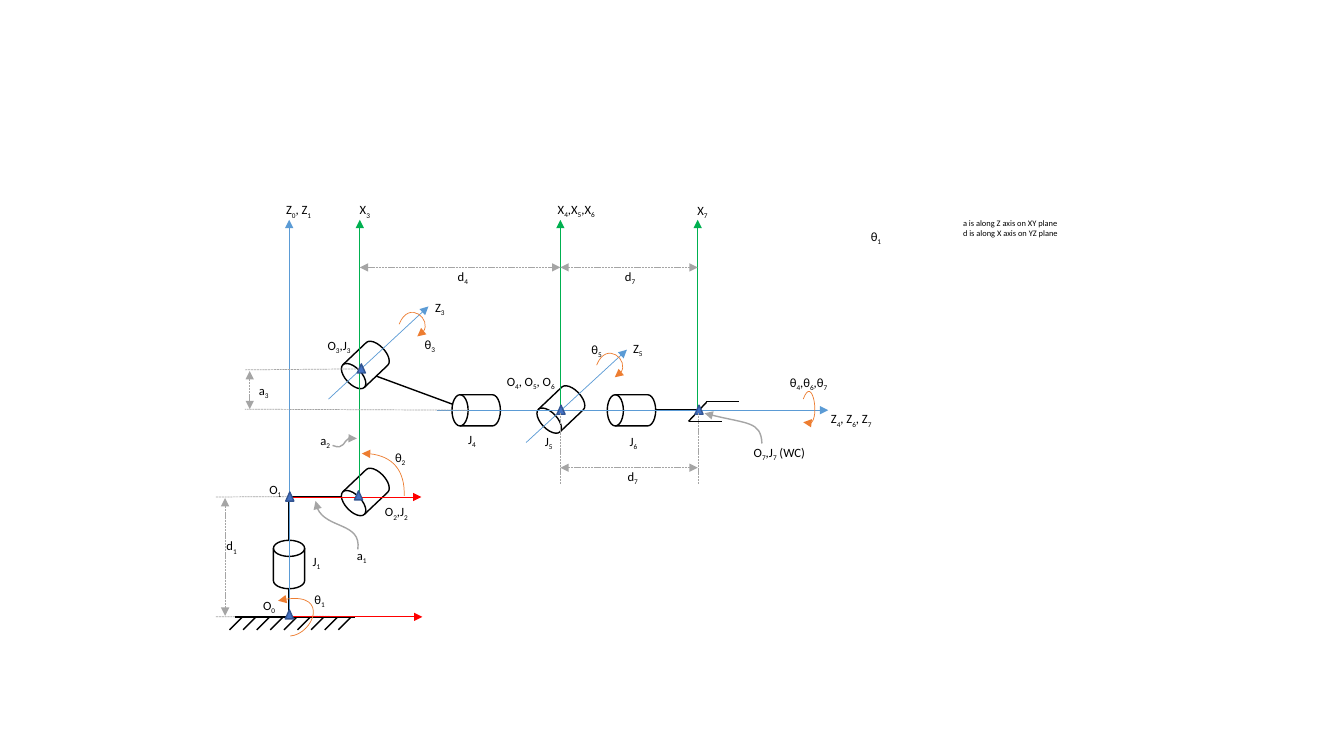
from pptx import Presentation
from pptx.util import Pt
from pptx.dml.color import RGBColor as Rgb
from pptx.enum.dml import MSO_LINE as Dash
from pptx.enum.shapes import MSO_CONNECTOR as Conn, MSO_SHAPE as Kind
from pptx.enum.text import MSO_AUTO_SIZE as Fit, PP_ALIGN as Align
from pptx.oxml.ns import qn
from lxml.etree import SubElement as Sub

COLORS = {
    "black": "000000", "white": "FFFFFF", "gray": "A5A5A5",
    "blue": "5B9BD5", "red": "FF0000", "green": "00B050",
    "orange": "ED7D31", "mark": "4472C4", "edge": "325491",
}
BASE, ARM, WRIST = 440.6, 355, 293      # heights of ground, shoulder, wrist
COL1, COL3, COL5, COL7 = 206.6, 257, 400.3, 498.4


def span(ends):
    """Lowest and highest value of a cubic along one direction."""
    a, b, c, d = ends
    track = []
    for i in range(101):
        t = i / 100
        u = 1 - t
        track.append(a * u**3 + 3 * b * u * u * t + 3 * c * u * t * t + d * t**3)
    return min(track), max(track)


class Sketch:
    font = "Calibri"

    def __init__(self, slide):
        self.shapes = slide.shapes

    def color(self, name):
        return Rgb.from_string(COLORS[name])

    def ink(self, shape, color, width, dash=False, head=False, tail=False):
        """Style the outline, its arrowheads, and drop the shadow."""
        line = shape.line
        line.color.rgb = self.color(color)
        line.width = Pt(width)
        if dash:
            line.dash_style = Dash.SQUARE_DOT
        props = shape._element.spPr
        for used, tag in ((head, "a:headEnd"), (tail, "a:tailEnd")):
            if used:
                Sub(props.find(qn("a:ln")), qn(tag), type="triangle")
        Sub(props, qn("a:effectLst"))

    def line(self, x1, y1, x2, y2, color="black", width=1, **ends):
        link = self.shapes.add_connector(
            Conn.STRAIGHT, Pt(x1), Pt(y1), Pt(x2), Pt(y2))
        self.ink(link, color, width, **ends)

    def axis(self, x1, y1, x2, y2, color):
        self.line(x1, y1, x2, y2, color, 0.5, tail=True)

    def guide(self, x1, y1, x2, y2, ends=False):
        self.line(x1, y1, x2, y2, "gray", 0.5,
                  dash=True, head=ends, tail=ends)

    def bend(self, x1, y1, x2, y2):
        """Draw a link that runs up from the first point, then right."""
        x, y = (x1 + x2) / 2, (y1 + y2) / 2
        w, h = (y1 - y2) / 2, (x2 - x1) / 2
        link = self.shapes.add_connector(
            Conn.ELBOW, Pt(x + w), Pt(y + h), Pt(x - w), Pt(y - h))
        props = link._element.spPr
        props.find(qn("a:xfrm")).set("rot", "5400000")
        props.find(qn("a:prstGeom")).set("prst", "bentConnector2")
        self.ink(link, "black", 1)

    def curve(self, nodes, color, width):
        """Draw one cubic segment that ends in an arrowhead."""
        build = self.shapes.build_freeform(0, 0)
        build.add_line_segments([(1, 1)], close=False)
        shape = build.convert_to_shape()
        (x1, x2), (y1, y2) = (span(side) for side in zip(*nodes))
        shape.left, shape.top = Pt(x1), Pt(y1)
        shape.width, shape.height = Pt(x2 - x1), Pt(y2 - y1)
        track = next(shape._element.iter(qn("a:path")))
        track.set("w", str(shape.width))
        track.set("h", str(shape.height))
        track.remove(track.find(qn("a:lnTo")))
        start = track.find(qn("a:moveTo"))
        start.remove(start[0])
        cubic = Sub(track, qn("a:cubicBezTo"))
        for i, (x, y) in enumerate(nodes):
            Sub(cubic if i else start, qn("a:pt"),
                x=str(Pt(x - x1)), y=str(Pt(y - y1)))
        shape.fill.background()
        self.ink(shape, color, width, tail=True)

    def solid(self, kind, x, y, w, h, fill, edge, turn=0):
        shape = self.shapes.add_shape(kind, Pt(x), Pt(y), Pt(w), Pt(h))
        shape.rotation = turn
        shape.fill.solid()
        shape.fill.fore_color.rgb = self.color(fill)
        self.ink(shape, edge, 1)

    def joint(self, x, y, turn=0):
        self.solid(Kind.FLOWCHART_MAGNETIC_DISK, x, y, 22.3, 34.6,
                   "white", "black", turn)

    def origin(self, x, y):
        self.solid(Kind.FLOWCHART_EXTRACT, x, y, 5.8, 6.5, "mark", "edge")

    def text(self, words, x, y, w=26.6, h=10.9, size=9, align=Align.LEFT,
             pad=True):
        """Write lines of text; the sign after an underscore is lowered."""
        box = self.shapes.add_textbox(Pt(x), Pt(y), Pt(w), Pt(h))
        frame = box.text_frame
        frame.word_wrap = True
        frame.auto_size = Fit.SHAPE_TO_FIT_TEXT
        if not pad:
            frame.margin_left = frame.margin_right = 0
            frame.margin_top = frame.margin_bottom = 0
        for i, row in enumerate(words.split("\n")):
            para = frame.add_paragraph() if i else frame.paragraphs[0]
            para.alignment = align
            start, *parts = row.split("_")
            runs = [(start, False)]
            for part in parts:
                runs += [(part[0], True), (part[1:], False)]
            for piece, low in runs:
                if piece:
                    self.run(para, piece, size, low)

    def run(self, para, piece, size, low):
        run = para.add_run()
        run.text = piece
        run.font.name = self.font
        run.font.size = Pt(size)
        run.font.color.rgb = self.color("black")
        if low:
            run._r.get_or_add_rPr().set("baseline", "-25000")


def links(art):
    for y in (BASE, ARM):
        art.guide(235.4, y - 0.4, 154.1, y)
    art.line(334.8, 293.2, 393.1, 293.2)
    art.bend(206.4, 397.4, COL3, ARM)
    for ends in (
        (268.6, 268.6, 334.8, WRIST), (445, 292.8, 499.7, 292.8),
        (491.8, 301, 504.7, 287.3), (504, 287, 527.6, 287),
        (492.5, 301, 516, 301), (167.8, BASE, 253.4, BASE),
        (206.4, 397.4, 206.4, BASE),
    ):
        art.line(*ends)
    for spot in ((249.8, 334.1, 226.5), (195.3, 385.9), (329, 275.8, 270),
                 (389.5, 275.2, 226.5)):
        art.joint(*spot)
    art.line(409, 293.2, 445, 293.2)
    art.joint(439.9, 275.8, 270)
    for i in range(9):
        x = 251 - 9.72 * i
        art.line(x, BASE, x - 9.3, BASE + 9.3)
    art.line(COL3, 344.2, COL3, 264.2)
    art.joint(249.8, 243.4, 226.5)


def axes(art):
    top = 157
    art.axis(COL1, 441.4, COL1, top, "blue")
    art.axis(208.1, BASE, 301.7, BASE, "red")
    art.axis(COL1, ARM, 301, ARM, "red")
    for x, y in ((COL3, ARM), (COL5, WRIST), (COL7, WRIST)):
        art.axis(x, y, x, top, "green")
    art.axis(234.7, 285.1, 306, 218.9, "blue")
    art.axis(375.8, 316.1, 447.8, 249.8, "blue")
    art.axis(312.5, WRIST, 591.6, WRIST, "blue")
    for spot in ((397.8, 289.4), (255.2, 259.9), (253.2, 350.6),
                 (204.1, 351.4), (203.8, 435.6), (496.4, 289.4)):
        art.origin(*spot)


def curves(art):
    spin = ((285.1, 231.6), (292.3, 213.6), (313.9, 232.4), (298.1, 240.3))
    for nodes in (
        spin, [(x + 141.1, y + 29.2) for x, y in spin],
        ((288.7, 354.2), (289.4, 336.2), (278.6, 323.3), (258.5, 324)),
        ((207.4, 454.3), (223.9, 452.9), (236.9, 419.8), (198.7, 429.1)),
        ((573.8, 285.1), (580.3, 267.1), (588.2, 310.3), (573.8, 301.7)),
    ):
        art.curve(nodes, "orange", 0.5)
    for nodes in (
        ((544.3, 316.8), (543.6, 301), (532.8, 303.1), (503.3, 295.2)),
        ((255.6, 392.4), (258.5, 373), (227.5, 378.7), (225.4, 357.8)),
        ((237.6, 318.2), (246.2, 321.8), (245.5, 309.6), (254.9, 313.2)),
    ):
        art.curve(nodes, "gray", 1)


def sizes(art):
    art.guide(256.3, 263.5, 175, 264.2)
    art.guide(334.8, WRIST, 175, 292.3)
    for x in (COL5, COL7 + 0.5):
        art.guide(x, 295.2, x, 345.6)
    for ends in ((178.4, 292.3, 178.4, 265), (160.8, 439.9, 160.8, 355.7),
                 (COL7, 334.1, COL5, 334.1), (COL5, 191, COL3, 191),
                 (COL7, 191, COL5, 191)):
        art.guide(*ends, ends=True)


def labels(art):
    for words, x, y, *w in (
        ("J_1", 223.4, 395.5), ("O_3,J_3", 234, 241.2), ("J_4", 334.5, 308.2),
        ("J_5", 389.3, 310.1, 26.6, 21.8), ("J_6", 449.8, 310.1),
        ("O_7,J_7 (WC)", 538.4, 317.5, 53.3), ("O_2,J_2", 275, 360.2),
        ("Z_0, Z_1", 204.3, 144.5, 56.9), ("Z_3", 310.8, 214),
        ("Z_5", 452.2, 243.4), ("X_3", 257, 144.5),
        ("X_4,X_5,X_6", 398.4, 144.2, 45.4), ("X_7", 498.2, 144.7),
        ("Z_4, Z_6, Z_7", 593.5, 293.8, 40.3), ("O_0", 187.9, 427),
        ("θ_1", 622, 163.4, 8), ("θ_2", 282.2, 321.1, 18.7),
        ("θ_1", 224.6, 422.6, 18.7), ("θ_3", 303.3, 240.5, 18.7),
        ("a_1", 254.9, 391.2, 53.3), ("a_2", 228.8, 309.4, 53.3),
        ("a_3", 185, 273.6, 53.3), ("d_1", 161.8, 384.5, 53.3),
    ):
        art.text(words, x, y, *w, pad=False)
    for words, x, y, w in (
        ("O_4, O_5, O_6", 356.6, 267.1, 39.6), ("O_1", 174.4, 344.2, 26.6),
        ("θ_5", 411.1, 244.1, 18.7), ("θ_4,θ_6,θ_7", 537.6, 267.8, 53.3),
    ):
        art.text(words, x, y, w, align=Align.RIGHT, pad=False)
    for words, x, y in (("d_7", 425.3, 334.6), ("d_4", 304, 192.2),
                        ("d_7", 423.4, 192.2)):
        art.text(words, x, y, 53.3, align=Align.CENTER, pad=False)
    art.text("a is along Z axis on XY plane\nd is along X axis on YZ plane",
             680.8, 152.3, 131, 21.8, size=6)


def main():
    deck = Presentation()
    deck.slide_width, deck.slide_height = Pt(960), Pt(540)
    art = Sketch(deck.slides.add_slide(deck.slide_layouts[6]))
    for draw in (links, axes, curves, sizes, labels):
        draw(art)
    deck.save("out.pptx")


if __name__ == "__main__":
    main()
